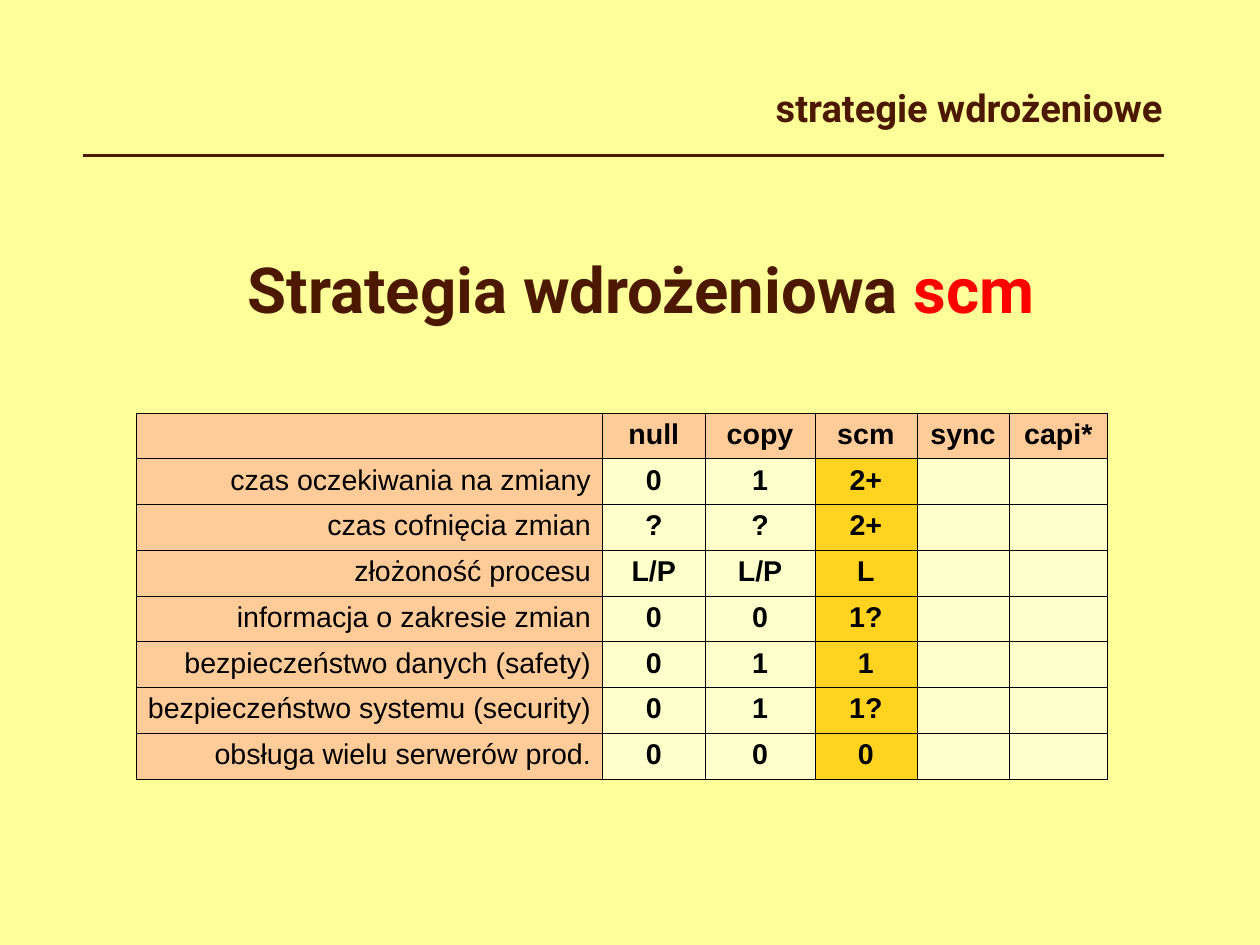
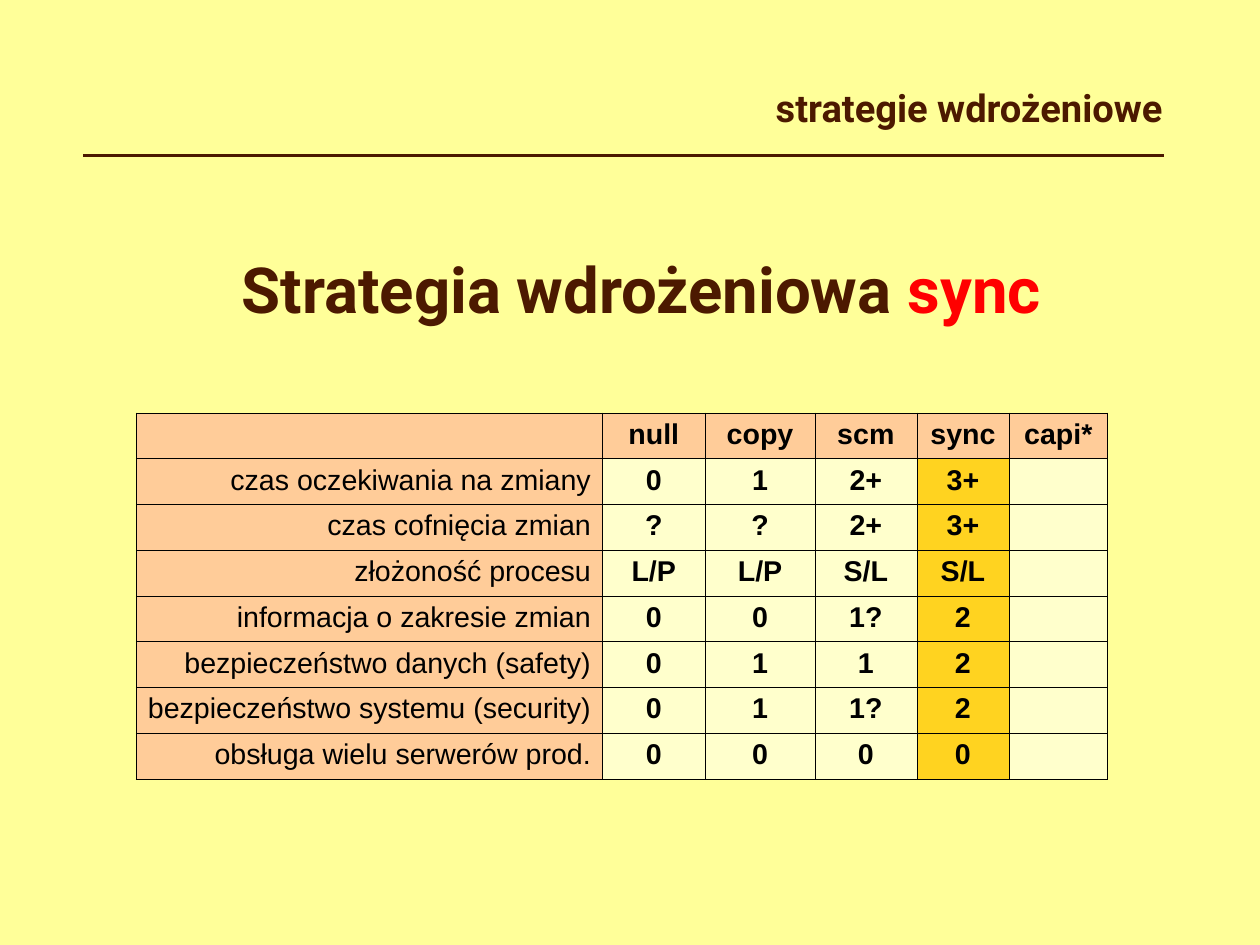
from lxml import etree
from pptx import Presentation
from pptx.dml.color import RGBColor
from pptx.enum import shapes, text
from pptx.oxml import ns
from pptx.util import Cm, Inches, Pt

CREAM = RGBColor(0xFF, 0xFF, 0x99)
BROWN = RGBColor(0x4C, 0x19, 0x00)
RED = RGBColor(0xFF, 0x00, 0x00)
BLACK = RGBColor(0x00, 0x00, 0x00)
PEACH = RGBColor(0xFF, 0xCC, 0x99)
IVORY = RGBColor(0xFF, 0xFF, 0xCC)
GOLD = RGBColor(0xFF, 0xD3, 0x20)

HEADING_FONT, TABLE_FONT = "Roboto", "Arial"
LEFT, CENTER, RIGHT = text.PP_ALIGN.LEFT, text.PP_ALIGN.CENTER, text.PP_ALIGN.RIGHT

COLUMN_WIDTHS = [4.08, 0.9, 0.96, 0.89, 0.81, 0.86]
ROW_HEIGHT = 0.4
STRATEGIES = ["null", "copy", "scm", "sync", "capi*"]
CRITERIA = [
    "czas oczekiwania na zmiany",
    "czas cofnięcia zmian",
    "złożoność procesu",
    "informacja o zakresie zmian",
    "bezpieczeństwo danych (safety)",
    "bezpieczeństwo systemu (security)",
    "obsługa wielu serwerów prod.",
]
NULL_RATINGS = ["0", "?", "L/P", "0", "0", "0", "0"]
COPY_RATINGS = ["1", "?", "L/P", "0", "1", "1", "0"]
SCM_RATINGS = ["2+", "2+", "L", "1?", "1", "1?", "0"]
SCM_REVISED = ["2+", "2+", "S/L", "1?", "1", "1?", "0"]
SYNC_RATINGS = ["3+", "3+", "S/L", "2", "2", "2", "0"]


def add_text(paragraph, wording, font=HEADING_FONT, size=18, color=BROWN,
             bold=True, align=LEFT):
    paragraph.alignment = align
    run = paragraph.add_run()
    run.text = wording
    run.font.name = font
    run.font.size = Pt(size)
    run.font.bold = bold
    run.font.color.rgb = color


def style_layout(layout):
    """Give the layout the background and title place that all slides share."""
    layout.background.fill.solid()
    layout.background.fill.fore_color.rgb = CREAM
    title = layout.placeholders[0]
    title.left, title.top = Inches(1.38), Inches(2.14)
    title.width, title.height = Inches(8.46), Inches(1.07)
    title.text_frame.vertical_anchor = text.MSO_ANCHOR.TOP
    title.text_frame.auto_size = text.MSO_AUTO_SIZE.NONE


def add_header(slide):
    header = slide.shapes.add_textbox(Inches(2.99), Inches(0.69),
                                      Inches(7.28), Inches(0.69))
    header.text_frame.word_wrap = True
    add_text(header.text_frame.paragraphs[0], "strategie wdrożeniowe",
             size=24, align=RIGHT)
    rule = slide.shapes.add_connector(shapes.MSO_CONNECTOR.STRAIGHT, Inches(0.73),
                                      Inches(1.36), Inches(10.18), Inches(1.36))
    rule.line.color.rgb = BROWN
    rule.line.width = Pt(1.42)
    etree.SubElement(rule._element.spPr, ns.qn("a:effectLst"))


def add_title(slide, strategy):
    paragraph = slide.shapes.title.text_frame.paragraphs[0]
    add_text(paragraph, "Strategia wdrożeniowa ", size=40, align=CENTER)
    add_text(paragraph, strategy, size=40, color=RED, align=CENTER)


def set_borders(cell):
    properties = cell._tc.get_or_add_tcPr()
    for position, side in enumerate(("a:lnL", "a:lnR", "a:lnT", "a:lnB")):
        border = etree.Element(ns.qn(side), w=str(Pt(0.06)))
        fill = etree.SubElement(border, ns.qn("a:solidFill"))
        etree.SubElement(fill, ns.qn("a:srgbClr"), val=str(BLACK))
        properties.insert(position, border)


def format_cell(cell, wording, fill, bold, align):
    cell.margin_left = cell.margin_right = Inches(0.1)
    cell.margin_top = cell.margin_bottom = Inches(0.05)
    cell.fill.solid()
    cell.fill.fore_color.rgb = fill
    set_borders(cell)
    if wording:
        add_text(cell.text_frame.paragraphs[0], wording, font=TABLE_FONT,
                 color=BLACK, bold=bold, align=align)


def add_ratings(slide, rated):
    """Add the comparison table; the last rated strategy is highlighted."""
    unrated = [[""] * len(CRITERIA)] * (len(STRATEGIES) - len(rated))
    rows = [["", *STRATEGIES], *zip(CRITERIA, *rated, *unrated)]
    table = slide.shapes.add_table(
        len(rows), len(COLUMN_WIDTHS), Inches(1.19), Inches(3.61),
        Inches(sum(COLUMN_WIDTHS)), Inches(ROW_HEIGHT * len(rows))).table
    for column, width in zip(table.columns, COLUMN_WIDTHS):
        column.width = Inches(width)
    for r, row in enumerate(rows):
        table.rows[r].height = Inches(ROW_HEIGHT)
        for c, wording in enumerate(row):
            if r == 0 or c == 0:
                fill = PEACH
            else:
                fill = GOLD if c == len(rated) else IVORY
            format_cell(table.cell(r, c), wording, fill, bold=c > 0,
                        align=CENTER if c else RIGHT)


def add_strategy_slide(deck, layout, rated):
    slide = deck.slides.add_slide(layout)
    add_title(slide, STRATEGIES[len(rated) - 1])
    add_header(slide)
    add_ratings(slide, rated)


def main():
    deck = Presentation()
    deck.slide_width, deck.slide_height = Cm(28), Cm(21)
    title_only = deck.slide_layouts[5]
    style_layout(title_only)
    add_strategy_slide(deck, title_only, [NULL_RATINGS, COPY_RATINGS, SCM_RATINGS])
    add_strategy_slide(deck, title_only,
                       [NULL_RATINGS, COPY_RATINGS, SCM_REVISED, SYNC_RATINGS])
    deck.save("out.pptx")


if __name__ == "__main__":
    main()
